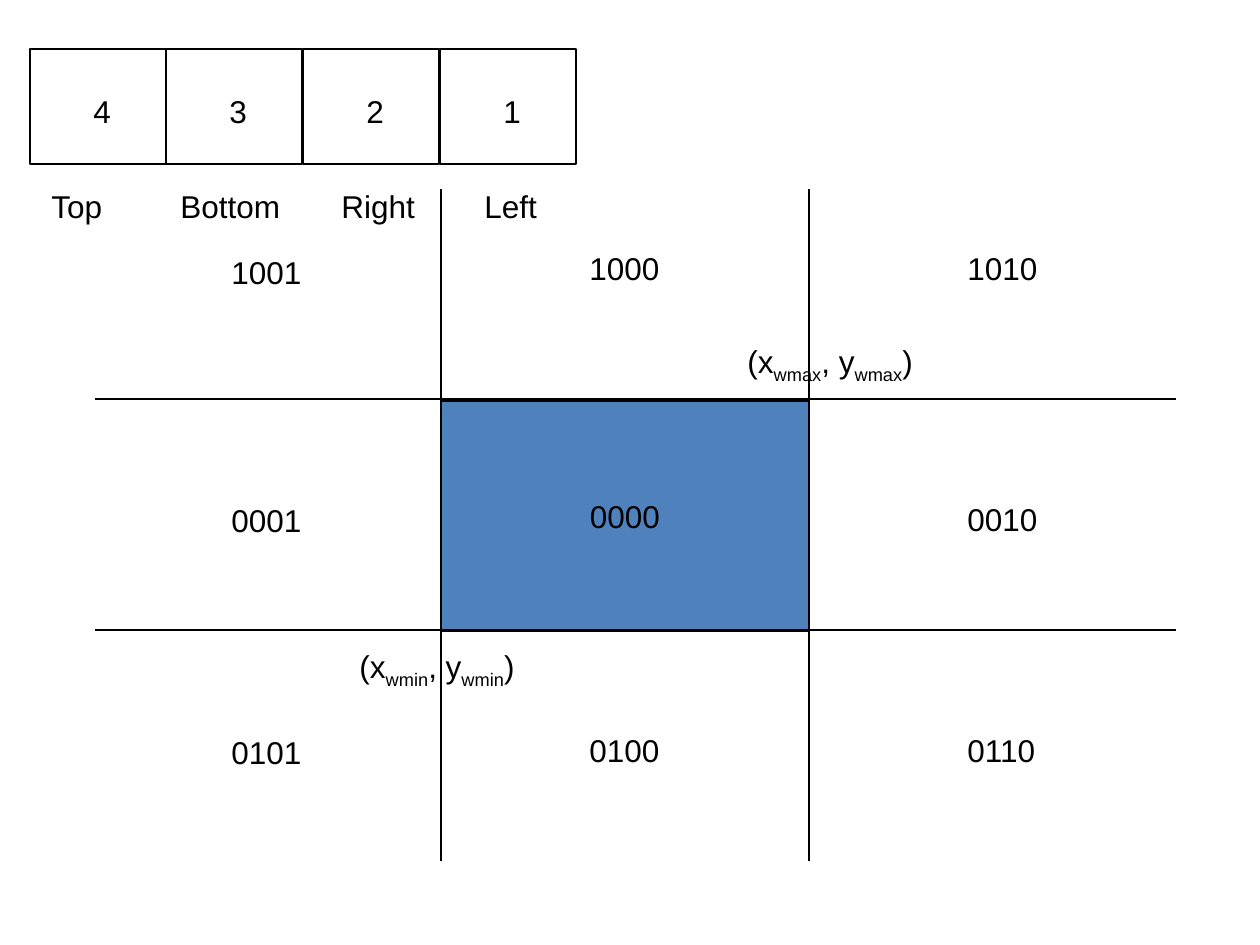
from lxml.etree import SubElement
from pptx import Presentation
from pptx.dml.color import RGBColor
from pptx.enum.shapes import MSO_CONNECTOR as Connector, MSO_SHAPE as Shape
from pptx.enum.text import MSO_ANCHOR as Anchor, MSO_AUTO_SIZE as AutoSize, PP_ALIGN as Align
from pptx.oxml.ns import qn
from pptx.util import Pt

PX = 914400 / 126
COLORS = {"ink": "000000", "window": "4F81BD"}
FONT = "Arial"
TEXT_HEIGHT = 50

COLUMN_LEFTS = (219, 577, 955)
REGION_ROWS = (
    ((247, 243, 243), ("1001", "1000", "1010")),
    ((495, None, 494), ("0001", None, "0010")),
    ((727, 725, 725), ("0101", "0100", "0110")),
)
WINDOW_XS = (441, 809)
WINDOW_YS = (399, 630)


def px(value):
    return round(value * PX)


def color(name):
    return RGBColor.from_string(COLORS[name])


def style_line(line):
    line.color.rgb = color("ink")
    line.width = Pt(0.75)


def add_run(paragraph, text, subscript=False):
    run = paragraph.add_run()
    run.text = text
    run.font.name = FONT
    run.font.size = Pt(18)
    run.font.color.rgb = color("ink")
    if subscript:
        run._r.get_or_add_rPr().set("baseline", "-25000")


def add_rectangle(slide, left, top, width, height, fill=None):
    shape = slide.shapes.add_shape(Shape.RECTANGLE, px(left), px(top), px(width), px(height))
    shape.shadow.inherit = False
    style_line(shape.line)
    if fill:
        shape.fill.solid()
        shape.fill.fore_color.rgb = color(fill)
    else:
        shape.fill.background()
    return shape


def add_line(slide, x1, y1, x2, y2):
    line = slide.shapes.add_connector(Connector.STRAIGHT, px(x1), px(y1), px(x2), px(y2))
    style_line(line.line)
    SubElement(line._element.spPr, qn("a:effectLst"))


def add_label(slide, left, top, width, *parts, tabs=()):
    """Add one line of text; every second part is a subscript."""
    box = slide.shapes.add_textbox(px(left), px(top), px(width), px(TEXT_HEIGHT))
    frame = box.text_frame
    frame.word_wrap = bool(tabs)
    frame.auto_size = AutoSize.SHAPE_TO_FIT_TEXT
    paragraph = frame.paragraphs[0]
    if tabs:
        tab_list = SubElement(paragraph._p.get_or_add_pPr(), qn("a:tabLst"))
        for position in tabs:
            SubElement(tab_list, qn("a:tab"), pos=str(px(position)), algn="l")
    for index, part in enumerate(parts):
        add_run(paragraph, part, subscript=index % 2 == 1)


def add_window(slide):
    left, right = WINDOW_XS
    window = add_rectangle(slide, left, 401, right - left, 230, "window")
    frame = window.text_frame
    frame.vertical_anchor = Anchor.MIDDLE
    frame.paragraphs[0].alignment = Align.CENTER
    add_run(frame.paragraphs[0], "0000")


def add_boundaries(slide):
    for x in WINDOW_XS:
        add_line(slide, x, 189, x, 861)
    for y in WINDOW_YS:
        add_line(slide, 95, y, 1176, y)


def add_region_codes(slide):
    for tops, codes in REGION_ROWS:
        for left, top, code in zip(COLUMN_LEFTS, tops, codes):
            if code:
                add_label(slide, left, top, 96, code)


def add_corner(slide, left, top, width, name):
    add_label(slide, left, top, width, "(x", name, ", y", name, ")")


def add_bit_key(slide):
    for index, bit in enumerate("4321"):
        left = round(30 + 136.5 * index)
        add_rectangle(slide, left, 49, 136, 115)
        add_label(slide, left + 51, 86, 43, bit)
    add_label(slide, 39, 181, 515, "Top\tBottom\tRight\tLeft", tabs=(129, 290, 433))


def main():
    presentation = Presentation()
    presentation.slide_width = px(1260)
    presentation.slide_height = px(945)
    slide = presentation.slides.add_slide(presentation.slide_layouts[6])
    add_window(slide)
    add_boundaries(slide)
    add_region_codes(slide)
    add_corner(slide, 347, 641, 195, "wmin")
    add_corner(slide, 735, 336, 207, "wmax")
    add_bit_key(slide)
    presentation.save("out.pptx")


if __name__ == "__main__":
    main()
